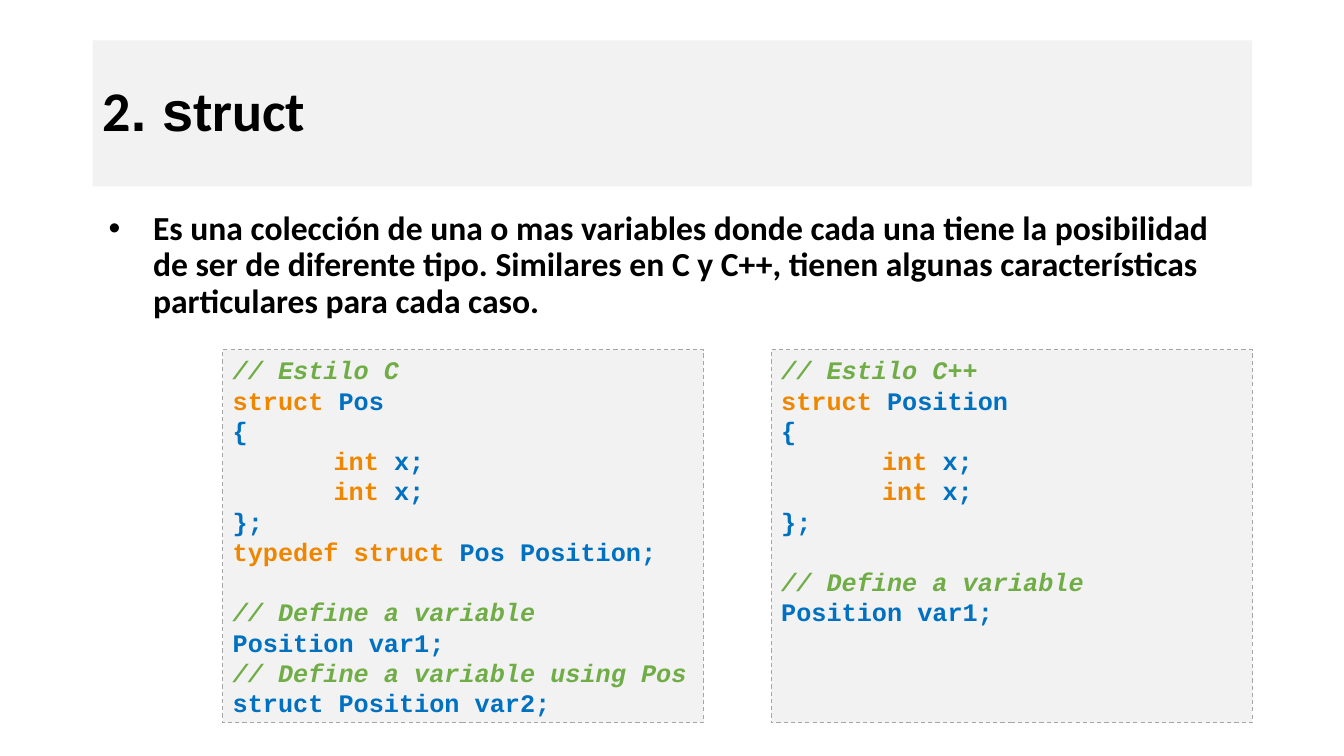
from dataclasses import dataclass

from lxml.etree import SubElement
from pptx import Presentation
from pptx.dml.color import RGBColor
from pptx.enum.dml import MSO_LINE_DASH_STYLE as DashStyle
from pptx.enum.shapes import MSO_SHAPE as ShapeKind
from pptx.enum.text import MSO_ANCHOR as Anchor, PP_ALIGN as Align
from pptx.oxml.ns import qn
from pptx.shapes.autoshape import Shape
from pptx.slide import Slide
from pptx.util import Inches, Pt


@dataclass(frozen=True)
class Theme:
    panel: RGBColor = RGBColor(0xF2, 0xF2, 0xF2)
    border: RGBColor = RGBColor(0xA5, 0xA5, 0xA5)
    text: RGBColor = RGBColor(0x00, 0x00, 0x00)
    comment: RGBColor = RGBColor(0x70, 0xAD, 0x47)
    keyword: RGBColor = RGBColor(0xEF, 0x86, 0x00)
    code: RGBColor = RGBColor(0x00, 0x70, 0xC0)
    heading_font: str = "Calibri"
    accent_font: str = "Arial"
    code_font: str = "Courier New"
    title_size: float = 40
    body_size: float = 24
    code_size: float = 18
    code_gap: float = 21.6


@dataclass(frozen=True)
class CodeLine:
    """A line of code: an optional leading keyword, then plain code or a comment."""
    rest: str
    keyword: str = ""
    indented: bool = False
    gap_before: bool = False

    @property
    def is_comment(self) -> bool:
        return self.rest.startswith("//")


@dataclass(frozen=True)
class CodePanel:
    left: float
    lines: tuple[CodeLine, ...]


THEME = Theme()
MARGIN_LEFT, CONTENT_WIDTH = 0.92, 11.5
PANEL_TOP, PANEL_WIDTH, PANEL_HEIGHT = 3.47, 4.77, 3.7

MEMBERS = (
    CodeLine("{"),
    *(CodeLine(" x;", "int", indented=True),) * 2,
    CodeLine("};"),
)
DEFINITION = (
    CodeLine("// Define a variable", gap_before=True),
    CodeLine("Position var1;"),
)
PANELS = (
    CodePanel(2.21, (
        CodeLine("// Estilo C"),
        CodeLine("Pos", "struct "),
        *MEMBERS,
        CodeLine("Pos Position;", "typedef struct "),
        *DEFINITION,
        CodeLine("// Define a variable using Pos"),
        CodeLine("struct Position var2;"),
    )),
    CodePanel(7.65, (
        CodeLine("// Estilo C++"),
        CodeLine("Position", "struct "),
        *MEMBERS,
        *DEFINITION,
    )),
)
TITLE_PARTS = (
    ("2", THEME.heading_font),
    (". s", THEME.accent_font),
    ("truct", THEME.heading_font),
)
BODY = (
    "Es una colección de una o mas variables donde cada una tiene la posibilidad "
    "de ser de diferente tipo. Similares en C y C++, tienen algunas características "
    "particulares para cada caso."
)


def add_run(paragraph, text: str, font_name: str, size: float,
            color: RGBColor, italic: bool = False) -> None:
    run = paragraph.add_run()
    run.text = text
    font = run.font
    font.name, font.size = font_name, Pt(size)
    font.bold, font.italic = True, italic
    font.color.rgb = color


def set_indent(paragraph, left: float, first_line: float = 0) -> None:
    properties = paragraph._p.get_or_add_pPr()
    properties.set("marL", str(Inches(left)))
    properties.set("indent", str(Inches(first_line)))


def add_panel(slide: Slide, left: float, top: float, width: float, height: float) -> Shape:
    """Add a light grey rectangle without outline or shadow, ready for left-aligned text."""
    shape = slide.shapes.add_shape(
        ShapeKind.RECTANGLE, Inches(left), Inches(top), Inches(width), Inches(height))
    shape.shadow.inherit = False
    shape.fill.solid()
    shape.fill.fore_color.rgb = THEME.panel
    shape.line.fill.background()
    shape.text_frame.word_wrap = True
    return shape


def add_code_panel(slide: Slide, panel: CodePanel) -> None:
    shape = add_panel(slide, panel.left, PANEL_TOP, PANEL_WIDTH, PANEL_HEIGHT)
    shape.line.color.rgb = THEME.border
    shape.line.width = Pt(0.75)
    shape.line.dash_style = DashStyle.DASH
    frame = shape.text_frame
    frame.vertical_anchor = Anchor.TOP
    for index, line in enumerate(panel.lines):
        paragraph = frame.add_paragraph() if index else frame.paragraphs[0]
        paragraph.alignment = Align.LEFT
        if line.gap_before:
            paragraph.space_before = Pt(THEME.code_gap)
        if line.indented:
            set_indent(paragraph, 1)
        if line.keyword:
            add_run(paragraph, line.keyword, THEME.code_font, THEME.code_size, THEME.keyword)
        color = THEME.comment if line.is_comment else THEME.code
        add_run(paragraph, line.rest, THEME.code_font, THEME.code_size, color, line.is_comment)


def set_vertical_insets(shape: Shape) -> None:
    frame = shape.text_frame
    frame.margin_top = frame.margin_bottom = Inches(0.1)


def add_title(slide: Slide) -> None:
    shape = add_panel(slide, MARGIN_LEFT, 0.4, CONTENT_WIDTH, 1.45)
    set_vertical_insets(shape)
    shape.text_frame.vertical_anchor = Anchor.MIDDLE
    paragraph = shape.text_frame.paragraphs[0]
    paragraph.alignment = Align.LEFT
    paragraph.line_spacing = 0.9
    for text, font_name in TITLE_PARTS:
        add_run(paragraph, text, font_name, THEME.title_size, THEME.text)


def add_body(slide: Slide) -> None:
    shape = slide.shapes.add_textbox(
        Inches(MARGIN_LEFT), Inches(2), Inches(CONTENT_WIDTH), Inches(4.76))
    shape.text_frame.word_wrap = True
    set_vertical_insets(shape)
    paragraph = shape.text_frame.paragraphs[0]
    paragraph.line_spacing = 0.9
    paragraph.space_before = Pt(10)
    set_indent(paragraph, 0.5, -0.44)
    properties = paragraph._p.get_or_add_pPr()
    SubElement(properties, qn("a:buFont")).set("typeface", THEME.accent_font)
    SubElement(properties, qn("a:buChar")).set("char", "•")
    add_run(paragraph, BODY, THEME.heading_font, THEME.body_size, THEME.text)


def main() -> None:
    presentation = Presentation()
    presentation.slide_width, presentation.slide_height = Inches(13.33), Inches(7.5)
    slide = presentation.slides.add_slide(presentation.slide_layouts[6])
    for panel in PANELS:
        add_code_panel(slide, panel)
    add_title(slide)
    add_body(slide)
    presentation.save("out.pptx")


if __name__ == "__main__":
    main()
